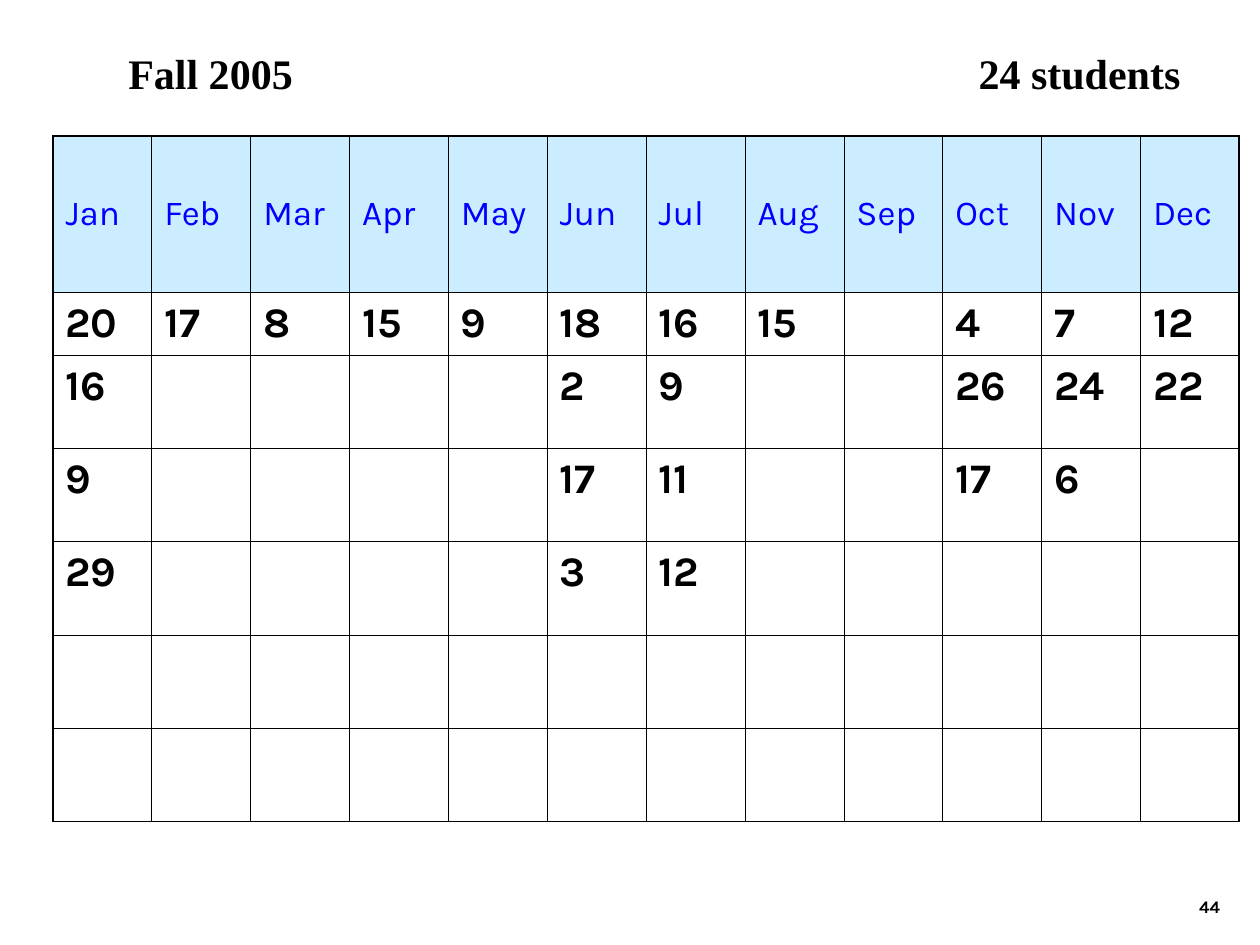
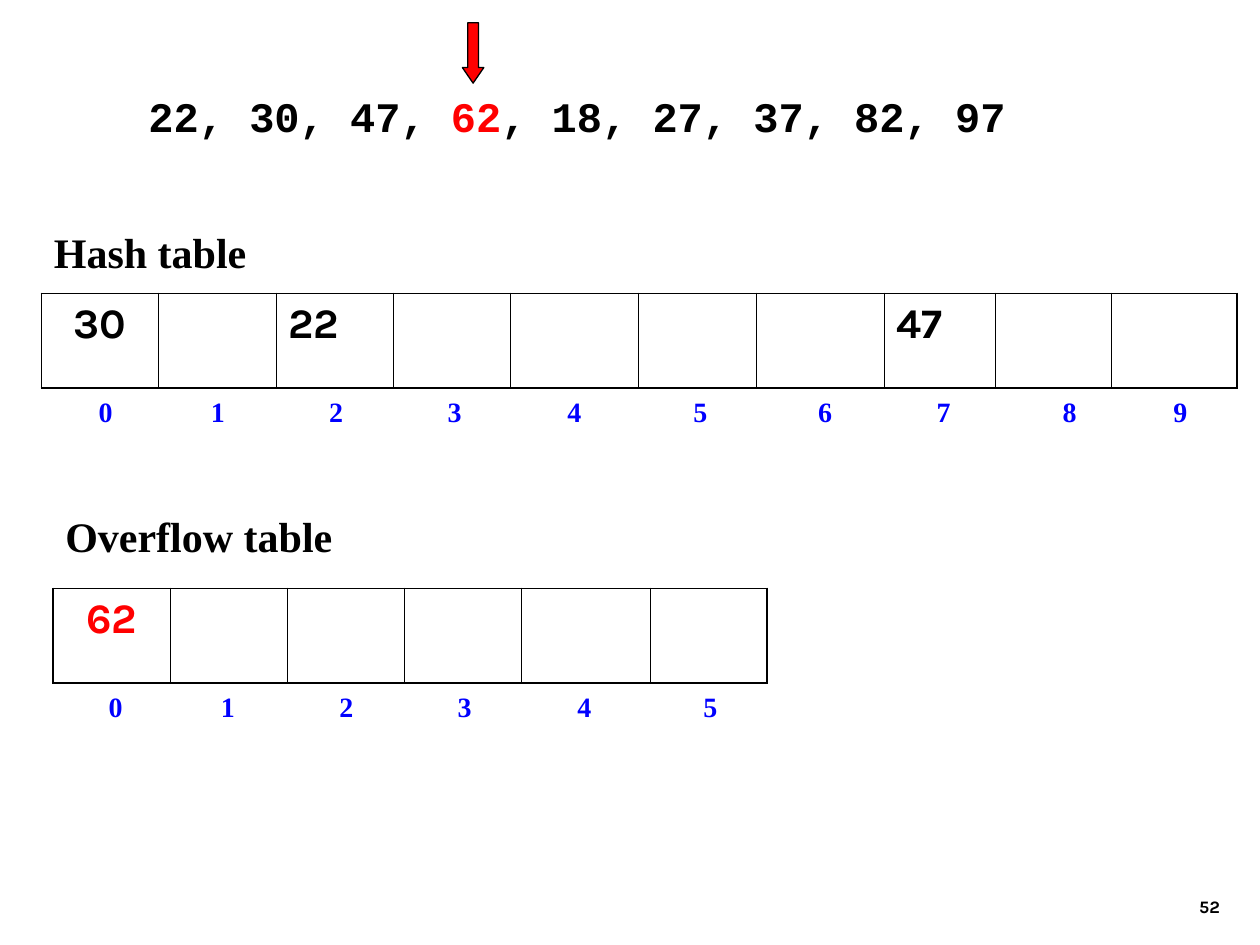
from lxml.etree import SubElement
from pptx import Presentation
from pptx.dml.color import RGBColor
from pptx.enum.shapes import MSO_SHAPE as SHAPE
from pptx.enum.text import MSO_ANCHOR as ANCHOR, PP_ALIGN as ALIGN
from pptx.oxml.ns import qn
from pptx.util import Inches, Pt

BLACK = RGBColor(0x00, 0x00, 0x00)
WHITE = RGBColor(0xFF, 0xFF, 0xFF)
RED = RGBColor(0xFF, 0x00, 0x00)
BLUE = RGBColor(0x00, 0x00, 0xFF)
PALE_BLUE = RGBColor(0xCC, 0xEC, 0xFF)

SANS, SERIF, MONO = "Karla", "Times New Roman", "Courier New"
OUTER, INNER = 1.08, 0.45  # table line widths in points

MONTHS = "Jan Feb Mar Apr May Jun Jul Aug Sep Oct Nov Dec".split()
MONTH_DAYS = [
    [20, 16, 9, 29], [17], [8], [15], [9], [18, 2, 17, 3],
    [16, 9, 11, 12], [15], [], [4, 26, 17], [7, 24, 6], [12, 22],
]
BODY_HEIGHTS = [0.5] + [0.74] * 5

KEYS = [22, 30, 47, 62, 18, 27, 37, 82, 97]
CURRENT_KEY = 62
SLOT_WIDTHS = [0.93, 0.93, 0.93, 0.93, 1.02, 0.93, 1.02, 0.88, 0.92, 1]
INDEX_TABS = [0.49, 1.38, 2.32, 3.26, 4.21, 5.21, 6.2, 7.14, 8.14, 9.02]


def add_text(p, text, size=24, font=SANS, color=BLACK, bold=True):
    """Append one formatted run to a paragraph."""
    r = p.add_run()
    r.text = text
    r.font.size = Pt(size)
    r.font.name = font
    r.font.bold = bold
    r.font.color.rgb = color


def add_tabs(p, stops, align):
    tabs = SubElement(p._p.get_or_add_pPr(), qn("a:tabLst"))
    for stop in stops:
        SubElement(tabs, qn("a:tab"), pos=str(Inches(stop)), algn=align)


def add_borders(cell, widths):
    """Draw the cell's left, right, top and bottom lines."""
    tc_pr = cell._tc.get_or_add_tcPr()
    for side, width in zip("LRTB", widths):
        ln = SubElement(tc_pr, qn(f"a:ln{side}"), w=str(Pt(width)))
        fill = SubElement(ln, qn("a:solidFill"))
        SubElement(fill, qn("a:srgbClr"), val=str(BLACK))


class Deck:
    def __init__(self):
        self.prs = Presentation()
        self.prs.slide_width = Inches(10)
        self.prs.slide_height = Inches(7.5)
        self.s = None

    def slide(self, number):
        self.s = self.prs.slides.add_slide(self.prs.slide_layouts[6])
        p = self.text_box(7.7, 6.83, 2.08, 0.5, anchor=ANCHOR.BOTTOM)
        p.alignment = ALIGN.RIGHT
        add_text(p, str(number), size=10)

    def text_box(self, left, top, width, height, anchor=ANCHOR.TOP, wrap=True):
        sp = self.s.shapes.add_textbox(
            Inches(left), Inches(top), Inches(width), Inches(height))
        tf = sp.text_frame
        tf.word_wrap = wrap
        tf.vertical_anchor = anchor
        return tf.paragraphs[0]

    def heading(self, text, left, top, width, right_tab=None):
        p = self.text_box(left, top, width, 0.5)
        if right_tab:
            add_tabs(p, [right_tab], "r")
        add_text(p, text, font=SERIF)

    def table(self, left, top, widths, heights):
        """Add a ruled white table with a heavier outer frame."""
        n_rows, n_cols = len(heights), len(widths)
        table = self.s.shapes.add_table(
            n_rows, n_cols, Inches(left), Inches(top),
            Inches(sum(widths)), Inches(sum(heights))).table
        table.first_row = table.horz_banding = False
        for col, width in zip(table.columns, widths):
            col.width = Inches(width)
        for row, height in zip(table.rows, heights):
            row.height = Inches(height)
        for i in range(n_rows):
            for j in range(n_cols):
                cell = table.cell(i, j)
                on_edge = (j == 0, j == n_cols - 1, i == 0, i == n_rows - 1)
                add_borders(cell, [OUTER if e else INNER for e in on_edge])
                cell.fill.solid()
                cell.fill.fore_color.rgb = WHITE
        return table

    def slots(self, left, top, count, values, label_left, label_width):
        """Add a one-row table of slots with their indices below."""
        table = self.table(left, top, SLOT_WIDTHS[:count], [0.75])
        for slot, key in values.items():
            p = table.cell(0, slot).text_frame.paragraphs[0]
            if slot == 0:
                p.alignment = ALIGN.CENTER
            add_text(p, str(key), color=RED if key == CURRENT_KEY else BLACK)
        p = self.text_box(label_left, top + 0.75, label_width, 0.37)
        add_tabs(p, INDEX_TABS[:count], "ctr")
        add_text(p, "".join(f"\t{i}" for i in range(count)),
                 size=16, font=SERIF, color=BLUE)

    def down_arrow(self, left, top, width, height):
        sp = self.s.shapes.add_shape(
            SHAPE.DOWN_ARROW, Inches(left), Inches(top),
            Inches(width), Inches(height))
        sp.adjustments[0], sp.adjustments[1] = 0.5, 0.725
        sp.shadow.inherit = False
        sp.fill.solid()
        sp.fill.fore_color.rgb = RED
        sp.line.color.rgb = BLACK
        sp.line.width = Pt(0.75)


def birthdays(deck):
    deck.slide(44)
    deck.heading("Fall 2005\t24 students", 0.92, 0.33, 8.58, right_tab=8.35)

    # Calendar: month header, then the days under each month
    table = deck.table(0.42, 1.08, [9.42 / 12] * 12, [1.24] + BODY_HEIGHTS)
    for col, (month, days) in enumerate(zip(MONTHS, MONTH_DAYS)):
        head = table.cell(0, col)
        head.fill.fore_color.rgb = PALE_BLUE
        head.vertical_anchor = ANCHOR.MIDDLE
        add_text(head.text_frame.paragraphs[0], month,
                 size=20, color=BLUE, bold=False)
        for row, day in enumerate(days, 1):
            add_text(table.cell(row, col).text_frame.paragraphs[0], str(day))


def hashing(deck):
    deck.slide(52)

    # Keys to insert, with the current one marked
    p = deck.text_box(1.08, 0.67, 7, 0.5, wrap=False)
    before, after = ", ".join(map(str, KEYS)).split(str(CURRENT_KEY))
    add_text(p, before, font=MONO)
    add_text(p, str(CURRENT_KEY), font=MONO, color=RED)
    add_text(p, after, font=MONO)
    deck.down_arrow(3.67, 0.18, 0.17, 0.48)

    # Hash table
    deck.heading("Hash table", 0.33, 1.75, 1.83)
    deck.slots(0.33, 2.33, 10, {0: 30, 2: 22, 7: 47}, 0.25, 9.58)

    # Overflow table
    deck.heading("Overflow table", 0.42, 4, 2.75)
    deck.slots(0.42, 4.67, 6, {0: CURRENT_KEY}, 0.33, 5.75)


def main():
    deck = Deck()
    birthdays(deck)
    hashing(deck)
    deck.prs.save("out.pptx")


if __name__ == "__main__":
    main()
